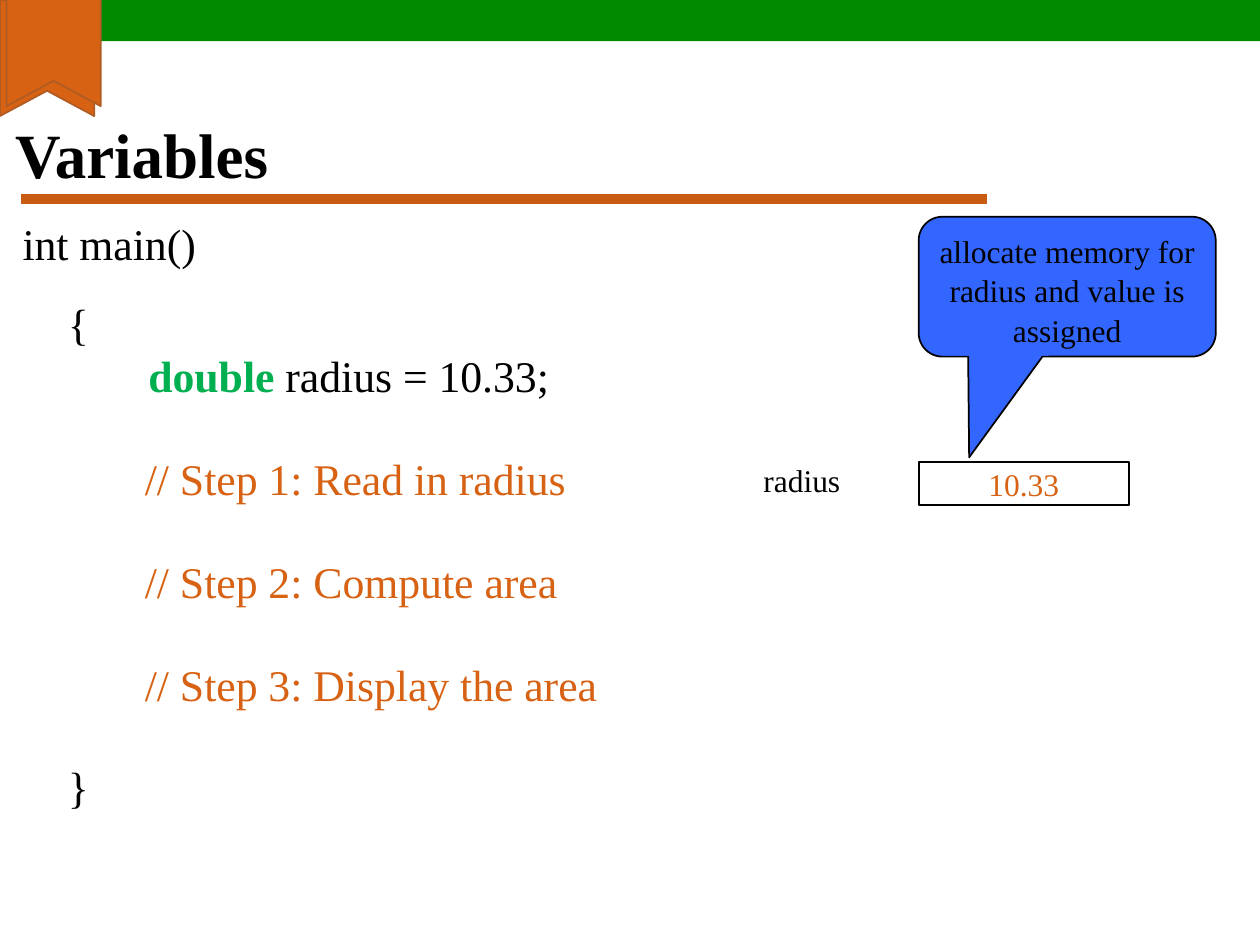
from lxml.etree import SubElement
from pptx import Presentation
from pptx.dml.color import RGBColor
from pptx.enum.shapes import MSO_CONNECTOR, MSO_SHAPE
from pptx.enum.text import MSO_ANCHOR, MSO_AUTO_SIZE, PP_ALIGN
from pptx.oxml.ns import qn
from pptx.util import Cm, Pt

FONT = "Times New Roman"
COLORS = {
    "text": "000000",
    "keyword": "00B050",
    "comment": "D76213",
    "ribbon": "D76213",
    "ribbon_edge": "AF5C24",
    "rule": "C75B12",
    "bar": "008A00",
    "callout": "3366FF",
}
CODE_SIZE = 25
LABEL_SIZE = 18
LINE_GAP = 5.8
STEP_GAP = 34.7  # leaves one code line free
STEP_INDENT = 1.55

# (space before in points, indent in cm, runs of (text, color, bold))
CODE_LINES = [
    (0, 0, [("{", "text", False)]),
    (LINE_GAP, 1.62, [("double", "keyword", True),
                      (" radius = 10.33;", "text", False)]),
    (STEP_GAP, STEP_INDENT, [("// Step 1: Read in radius", "comment", False)]),
    (STEP_GAP, STEP_INDENT, [("// Step 2: Compute area", "comment", False)]),
    (STEP_GAP, STEP_INDENT, [("// Step 3: Display the area", "comment", False)]),
    (STEP_GAP, 0, [("}", "text", False)]),
]


def color(name):
    return RGBColor.from_string(COLORS[name])


def add_span(para, text, size, color_name="text", bold=False):
    span = para.add_run()
    span.text = text
    span.font.name = FONT
    span.font.size = Pt(size)
    span.font.bold = bold
    span.font.color.rgb = color(color_name)


def paint(shape, fill=None, edge=None):
    shape.shadow.inherit = False
    if fill:
        shape.fill.solid()
        shape.fill.fore_color.rgb = color(fill)
    else:
        shape.fill.background()
    if edge:
        shape.line.color.rgb = color(edge)
        shape.line.width = Pt(1)
    else:
        shape.line.fill.background()


def place(shape, left, top, width, height):
    shape.left, shape.top = Cm(left), Cm(top)
    shape.width, shape.height = Cm(width), Cm(height)


def add_box(page, kind, left, top, width, height, fill=None, edge=None):
    box = page.shapes.add_shape(kind, Cm(left), Cm(top), Cm(width), Cm(height))
    paint(box, fill, edge)
    return box


def add_ribbon(page, left, top):
    """Hanging ribbon with a notched lower end, and the bar beside it."""
    width, height, notch = 1.9, 2.34, 1.83
    add_box(page, MSO_SHAPE.RECTANGLE, left + width, top, 23.5, 0.83, "bar")
    corners = [(0, 0), (width, 0), (width, height), (width / 2, notch), (0, height)]
    points = [(Cm(left + x), Cm(top + y)) for x, y in corners]
    builder = page.shapes.build_freeform(*points[0])
    builder.add_line_segments(points[1:], close=True)
    paint(builder.convert_to_shape(), "ribbon", "ribbon_edge")


def add_rule(page):
    rule = page.shapes.add_connector(
        MSO_CONNECTOR.STRAIGHT, Cm(0.43), Cm(4.01), Cm(19.89), Cm(4.01))
    rule.line.color.rgb = color("rule")
    rule.line.width = Pt(6)
    SubElement(rule._element.spPr, qn("a:effectLst"))


def fill_title(page):
    title = page.shapes.title
    place(title, 0.05, 1.5, 17.98, 3.18)
    frame = title.text_frame
    frame.auto_size = MSO_AUTO_SIZE.NONE
    frame.vertical_anchor = MSO_ANCHOR.MIDDLE
    frame.paragraphs[0].alignment = PP_ALIGN.LEFT
    add_span(frame.paragraphs[0], "Variables", 36, bold=True)


def fill_body(page):
    body = page.placeholders[1]
    place(body, 0.2, 4.24, 24.13, 13.06)
    body.text_frame.auto_size = MSO_AUTO_SIZE.NONE
    para = body.text_frame.paragraphs[0]
    para.alignment = PP_ALIGN.JUSTIFY
    para.space_before = Pt(0)
    props = para._p.get_or_add_pPr()
    props.set("marL", "0")
    props.set("indent", "0")
    SubElement(props, qn("a:buNone"))
    add_span(para, "int main()", CODE_SIZE)


def add_code(page):
    box = page.shapes.add_textbox(Cm(1.12), Cm(6.07), Cm(17.42), Cm(11.48))
    frame = box.text_frame
    frame.word_wrap = True
    for number, (gap, indent, spans) in enumerate(CODE_LINES):
        para = frame.add_paragraph() if number else frame.paragraphs[0]
        para.line_spacing = 0.8
        para.space_before = Pt(gap)
        para._p.get_or_add_pPr().set("marL", str(Cm(indent)))
        for text, color_name, bold in spans:
            add_span(para, text, CODE_SIZE, color_name, bold)


def add_variable(page):
    """Name of the variable and the memory cell with its value."""
    cell = add_box(page, MSO_SHAPE.RECTANGLE, 18.52, 9.32, 4.24, 0.86, edge="text")
    frame = cell.text_frame
    frame.margin_left = frame.margin_right = Cm(0.03)
    frame.margin_top = frame.margin_bottom = Cm(0.03)
    frame.word_wrap = False
    frame.vertical_anchor = MSO_ANCHOR.MIDDLE
    frame.paragraphs[0].alignment = PP_ALIGN.CENTER
    add_span(frame.paragraphs[0], "10.33", LABEL_SIZE, "comment")

    label = page.shapes.add_textbox(Cm(15.14), Cm(9.17), Cm(2.34), Cm(1.02))
    label.text_frame.word_wrap = True
    add_span(label.text_frame.paragraphs[0], "radius", LABEL_SIZE)


def add_callout(page):
    callout = add_box(page, MSO_SHAPE.ROUNDED_RECTANGULAR_CALLOUT,
                      18.52, 4.37, 5.99, 2.82, "callout", "text")
    for number, value in enumerate((-0.33, 1.22, 0.17)):
        callout.adjustments[number] = value
    frame = callout.text_frame
    frame.word_wrap = True
    frame.vertical_anchor = MSO_ANCHOR.TOP
    para = frame.paragraphs[0]
    para.alignment = PP_ALIGN.CENTER
    para.line_spacing = 1.05
    add_span(para, "allocate memory for radius and value is assigned", LABEL_SIZE)


def main():
    deck = Presentation()
    deck.slide_width, deck.slide_height = Cm(25.4), Cm(19.05)
    page = deck.slides.add_slide(deck.slide_layouts[1])
    add_rule(page)
    add_ribbon(page, 0, 0)
    add_ribbon(page, 0.13, -0.2)
    fill_title(page)
    fill_body(page)
    add_code(page)
    add_variable(page)
    add_callout(page)
    deck.save("out.pptx")


if __name__ == "__main__":
    main()
